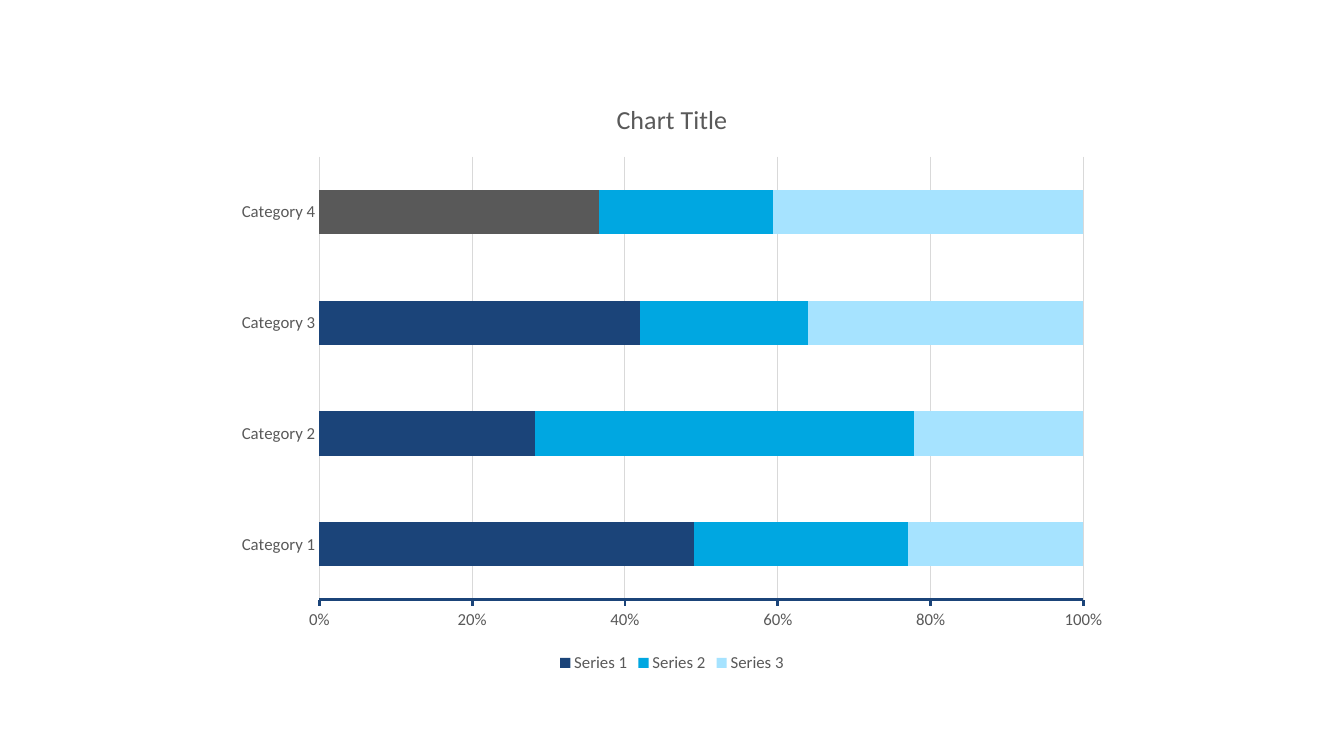
"""Build a slide with a 100% stacked bar chart that highlights one bar segment."""
from dataclasses import dataclass

from pptx import Presentation
from pptx.chart.data import CategoryChartData
from pptx.dml.color import RGBColor
from pptx.enum import chart as kinds
from pptx.util import Inches, Pt

TITLE = "Chart Title"
CATEGORIES = ["Category 1", "Category 2", "Category 3", "Category 4"]
SERIES = {
    "Series 1": (49, 28, 42, 37),
    "Series 2": (28, 49, 22, 23),
    "Series 3": (23, 22, 36, 41),
}
HIGHLIGHT = ("Series 1", "Category 4")
SLIDE_SIZE = (13.33, 7.5)
CHART_SIZE = (8.89, 5.93)


@dataclass(frozen=True)
class Theme:
    """Colours, font and type sizes."""
    navy: str = "1B4479"
    blue: str = "00A7E1"
    sky: str = "A6E3FF"
    grey: str = "595959"
    rule: str = "D9D9D9"
    font: str = "Calibri"
    title_size: float = 18.6
    label_size: float = 12


THEME = Theme()


def paint(fill, color):
    """Make a fill solid in the given colour."""
    fill.solid()
    fill.fore_color.rgb = RGBColor.from_string(color)


def draw_line(line, color, width):
    """Set the colour and width of a line."""
    paint(line.fill, color)
    line.width = Pt(width)


def set_font(font, size):
    """Apply the theme's font and text colour."""
    font.name = THEME.font
    font.size = Pt(size)
    font.bold = False
    font.color.rgb = RGBColor.from_string(THEME.grey)


def add_shares(slide):
    """Add the centred chart with its data."""
    shares = CategoryChartData(number_format="General")
    shares.categories = CATEGORIES
    for name, values in SERIES.items():
        shares.add_series(name, values)
    left, top = ((outer - inner) / 2 for outer, inner in zip(SLIDE_SIZE, CHART_SIZE))
    box = [Inches(length) for length in (left, top, *CHART_SIZE)]
    return slide.shapes.add_chart(kinds.XL_CHART_TYPE.BAR_STACKED_100, *box, shares).chart


def style_bars(plot):
    """Colour the series and the highlighted segment."""
    plot.gap_width = 150
    plot.overlap = 100
    plot.vary_by_categories = False
    for series, color in zip(plot.series, (THEME.navy, THEME.blue, THEME.sky)):
        paint(series.format.fill, color)
        series.invert_if_negative = False
        if series.name == HIGHLIGHT[0]:
            segment = series.points[CATEGORIES.index(HIGHLIGHT[1])]
            paint(segment.format.fill, THEME.grey)


def style_axes(categories, percent):
    """Format both axes and the vertical gridlines."""
    for axis in (categories, percent):
        set_font(axis.tick_labels.font, THEME.label_size)
        axis.minor_tick_mark = kinds.XL_TICK_MARK.NONE
    categories.major_tick_mark = kinds.XL_TICK_MARK.NONE
    categories.has_major_gridlines = False
    draw_line(categories.format.line, THEME.rule, 0.75)

    percent.major_tick_mark = kinds.XL_TICK_MARK.OUTSIDE
    percent.major_unit = 0.2
    percent.tick_labels.number_format = "0%"
    percent.tick_labels.number_format_is_linked = False
    percent.has_major_gridlines = True
    draw_line(percent.major_gridlines.format.line, THEME.rule, 0.75)
    draw_line(percent.format.line, THEME.navy, 2)


def label_chart(chart):
    """Write the chart title and place the legend."""
    chart.has_title = True
    chart.chart_title.include_in_layout = False
    heading = chart.chart_title.text_frame.paragraphs[0].add_run()
    heading.text = TITLE
    set_font(heading.font, THEME.title_size)

    chart.has_legend = True
    chart.legend.position = kinds.XL_LEGEND_POSITION.BOTTOM
    chart.legend.include_in_layout = False
    set_font(chart.legend.font, THEME.label_size)


def main():
    """Build and save the slide."""
    deck = Presentation()
    deck.slide_width, deck.slide_height = (Inches(side) for side in SLIDE_SIZE)
    chart = add_shares(deck.slides.add_slide(deck.slide_layouts[6]))
    set_font(chart.font, THEME.label_size)
    style_bars(chart.plots[0])
    style_axes(chart.category_axis, chart.value_axis)
    label_chart(chart)
    deck.save("out.pptx")


if __name__ == "__main__":
    main()
